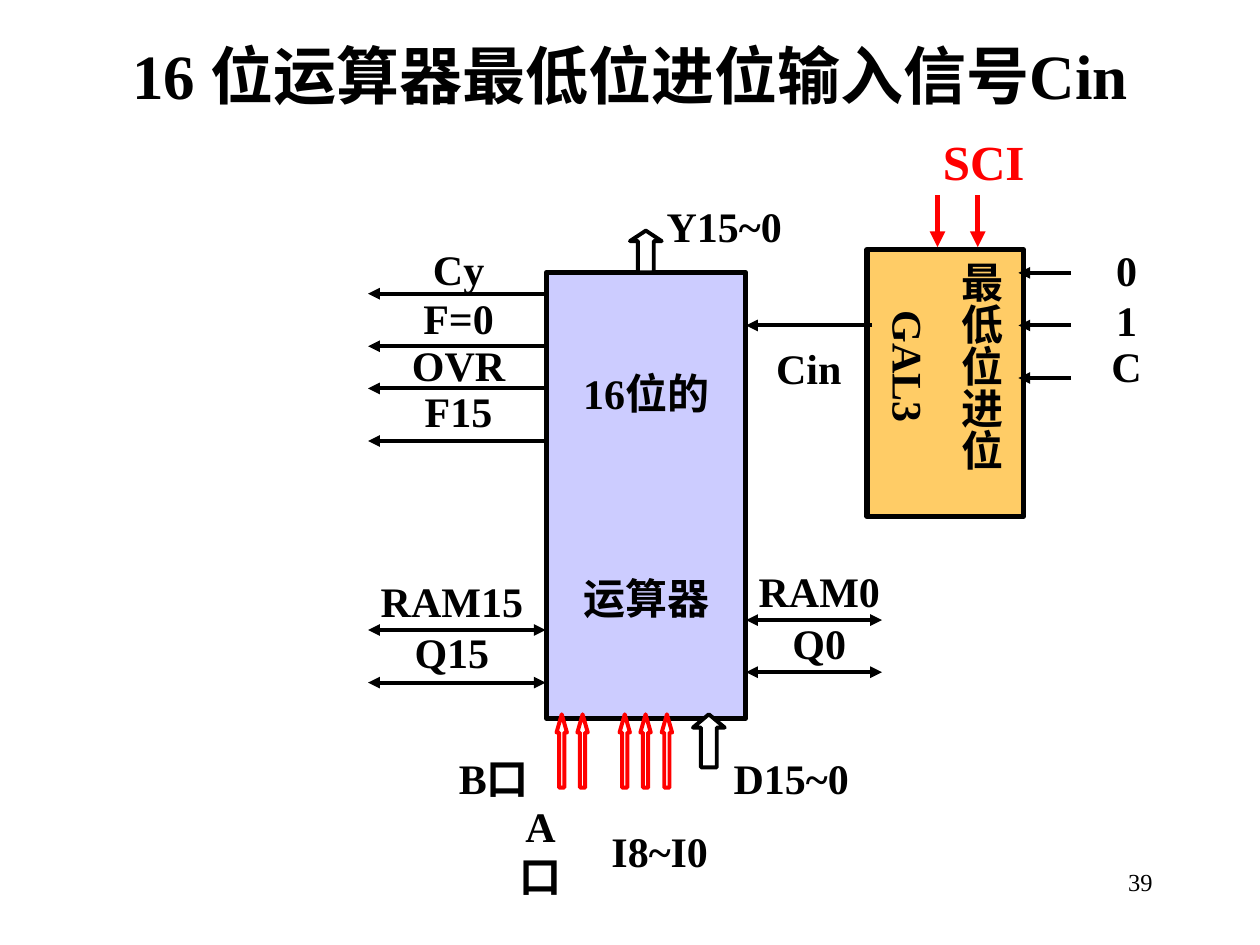
from dataclasses import dataclass

from lxml import etree
from pptx import Presentation
from pptx.dml.color import RGBColor
from pptx.enum.shapes import MSO_CONNECTOR, MSO_SHAPE
from pptx.enum.text import MSO_ANCHOR, MSO_AUTO_SIZE, PP_ALIGN
from pptx.oxml.ns import qn
from pptx.util import Cm, Pt

RECTANGLE = MSO_SHAPE.RECTANGLE
UP_ARROW = MSO_SHAPE.UP_ARROW
STRAIGHT = MSO_CONNECTOR.STRAIGHT
TOP, MIDDLE = MSO_ANCHOR.TOP, MSO_ANCHOR.MIDDLE
CENTER, RIGHT = PP_ALIGN.CENTER, PP_ALIGN.RIGHT
TITLE_ONLY = 5


@dataclass(frozen=True)
class Theme:
    font: str = "Times New Roman"
    black: RGBColor = RGBColor(0x00, 0x00, 0x00)
    white: RGBColor = RGBColor(0xFF, 0xFF, 0xFF)
    red: RGBColor = RGBColor(0xFF, 0x00, 0x00)
    lavender: RGBColor = RGBColor(0xCC, 0xCC, 0xFF)
    amber: RGBColor = RGBColor(0xFF, 0xCC, 0x66)
    title_size: int = 36
    control_size: int = 28
    label_size: int = 24
    page_size: int = 14
    thick: float = 3
    thin: float = 2.25


THEME = Theme()


def place(shape, left, top, width, height):
    shape.left, shape.top = Cm(left), Cm(top)
    shape.width, shape.height = Cm(width), Cm(height)


def write(shape, lines, size=THEME.label_size, color=THEME.black, bold=True,
          align=CENTER, anchor=MIDDLE, wrap=False, gap=12, spacing=None):
    """Fill a shape with paragraphs; gap and spacing apply after the first."""
    frame = shape.text_frame
    frame.auto_size = MSO_AUTO_SIZE.NONE
    frame.word_wrap = wrap
    frame.vertical_anchor = anchor
    frame.text = "\n".join(lines)
    for index, paragraph in enumerate(frame.paragraphs):
        paragraph.alignment = align
        paragraph.space_before = Pt(gap if index else 0)
        if index and spacing:
            paragraph.line_spacing = spacing
        for run in paragraph.runs:
            run.font.name = THEME.font
            run.font.size = Pt(size)
            run.font.bold = bold
            run.font.color.rgb = color


def add_label(slide, box, lines, **style):
    write(slide.shapes.add_textbox(*map(Cm, box)), lines, **style)


def add_outlined(slide, kind, box, fill, line, width):
    shape = slide.shapes.add_shape(kind, *map(Cm, box))
    shape.shadow.inherit = False
    shape.fill.solid()
    shape.fill.fore_color.rgb = fill
    shape.line.color.rgb = line
    shape.line.width = Pt(width)
    return shape


def add_block(slide, box, fill, lines, gap):
    block = add_outlined(slide, RECTANGLE, box, fill, THEME.black, THEME.thick)
    write(block, lines, gap=gap)
    return block


def add_bus_arrow(slide, box, head, color=THEME.black):
    arrow = add_outlined(slide, UP_ARROW, box, THEME.white, color, THEME.thin)
    arrow.adjustments[0] = 0.5
    arrow.adjustments[1] = head


def add_signal(slide, start, end, color=THEME.black, width=THEME.thin,
               both_ways=False):
    signal = slide.shapes.add_connector(STRAIGHT, *map(Cm, start + end))
    signal.line.color.rgb = color
    signal.line.width = Pt(width)
    line = signal.line._get_or_add_ln()
    for tag in ("a:headEnd", "a:tailEnd") if both_ways else ("a:tailEnd",):
        etree.SubElement(line, qn(tag), type="triangle")
    etree.SubElement(signal._element.spPr, qn("a:effectLst"))


def add_blocks(slide):
    add_block(slide, (11.02, 5.49, 4.01, 8.99), THEME.lavender,
              ["16位的", "运算器"], gap=88)
    carry = add_block(slide, (17.48, 5.03, 3.15, 5.38), THEME.amber,
                      ["最低位进位", "GAL3"], gap=12)
    carry.text_frame._txBody.bodyPr.set("vert", "eaVert")


def add_signals(slide):
    for y in (5.92, 6.98, 7.83, 8.89):
        add_signal(slide, (11, y), (7.42, y))
    for y in (12.7, 13.76):
        add_signal(slide, (7.42, y), (11, y), both_ways=True)
    for y in (12.5, 13.55):
        add_signal(slide, (17.78, y), (15.04, y), both_ways=True)
    add_signal(slide, (17.58, 6.56), (15.04, 6.56))
    for y in (5.5, 6.56, 7.62):
        add_signal(slide, (21.59, y), (20.53, y))
    for x in (18.9, 19.71):
        add_signal(slide, (x, 3.94), (x, 4.98), THEME.red, THEME.thick)


def add_buses(slide):
    add_bus_arrow(slide, (12.7, 4.65, 0.64, 0.84), 0.33)
    add_bus_arrow(slide, (13.97, 14.4, 0.64, 1.07), 0.42)
    for x in (11.22, 11.64, 12.49, 12.91, 13.34):
        add_bus_arrow(slide, (x, 14.4, 0.21, 1.48), 1.75, THEME.red)


def add_labels(slide):
    stacks = [
        ((8.05, 4.65, 2.39, 4.32), ["Cy", "F=0", "OVR", "F15"], 0.5),
        ((7.42, 11.43, 3.38, 2.34), ["RAM15", "Q15"], 0.55),
        ((15.04, 11.23, 2.95, 2.34), ["RAM0", "Q0"], 0.55),
        ((22.15, 4.72, 1.12, 3.3), ["0", "1", "C"], 0.5),
    ]
    for box, lines, spacing in stacks:
        add_label(slide, box, lines, spacing=spacing)

    height = 1.27
    singles = [
        ("Y15~0", 13.18, 3.91, 2.84),
        ("D15~0", 14.53, 15.04, 2.84),
        ("I8~I0", 12.07, 16.51, 2.46),
        ("Cin", 15.39, 6.78, 1.83),
    ]
    for text, left, top, width in singles:
        add_label(slide, (left, top, width, height), [text])
    for text, left, top in (("B口", 8.99, 15.04), ("A口", 9.93, 16.51)):
        add_label(slide, (left, top, 1.93, height), [text], wrap=True)

    add_label(slide, (18.75, 2.51, 2.16, 1.45), ["SCI"],
              size=THEME.control_size, color=THEME.red)
    add_label(slide, (18.21, 17.35, 5.28, height), ["39"], bold=False,
              size=THEME.page_size, align=RIGHT, anchor=TOP, wrap=True)


def main():
    presentation = Presentation()
    presentation.slide_width, presentation.slide_height = Cm(25.4), Cm(19.05)
    slide = presentation.slides.add_slide(presentation.slide_layouts[TITLE_ONLY])
    title = slide.shapes.title
    place(title, 1.9, 0.64, 21.6, 1.7)
    write(title, ["16 位运算器最低位进位输入信号Cin"], size=THEME.title_size)
    add_blocks(slide)
    add_signals(slide)
    add_buses(slide)
    add_labels(slide)
    presentation.save("out.pptx")


if __name__ == "__main__":
    main()
